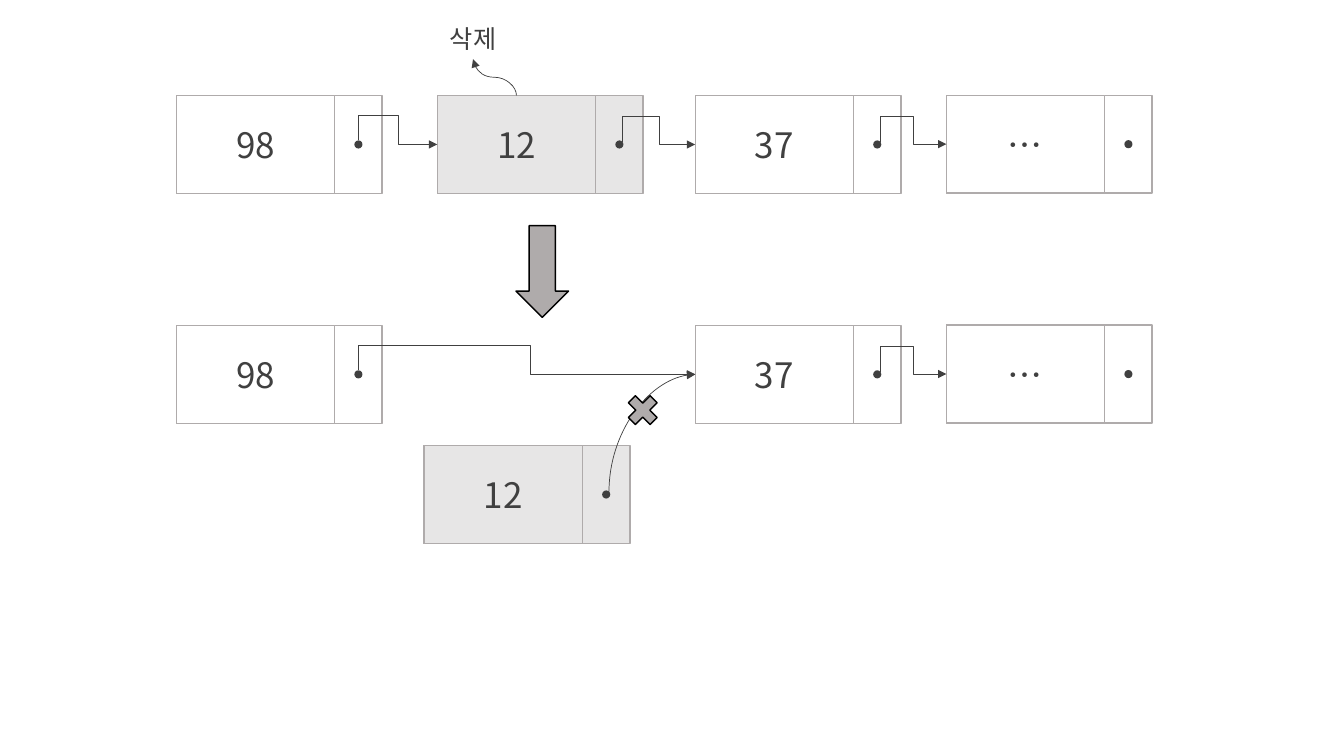
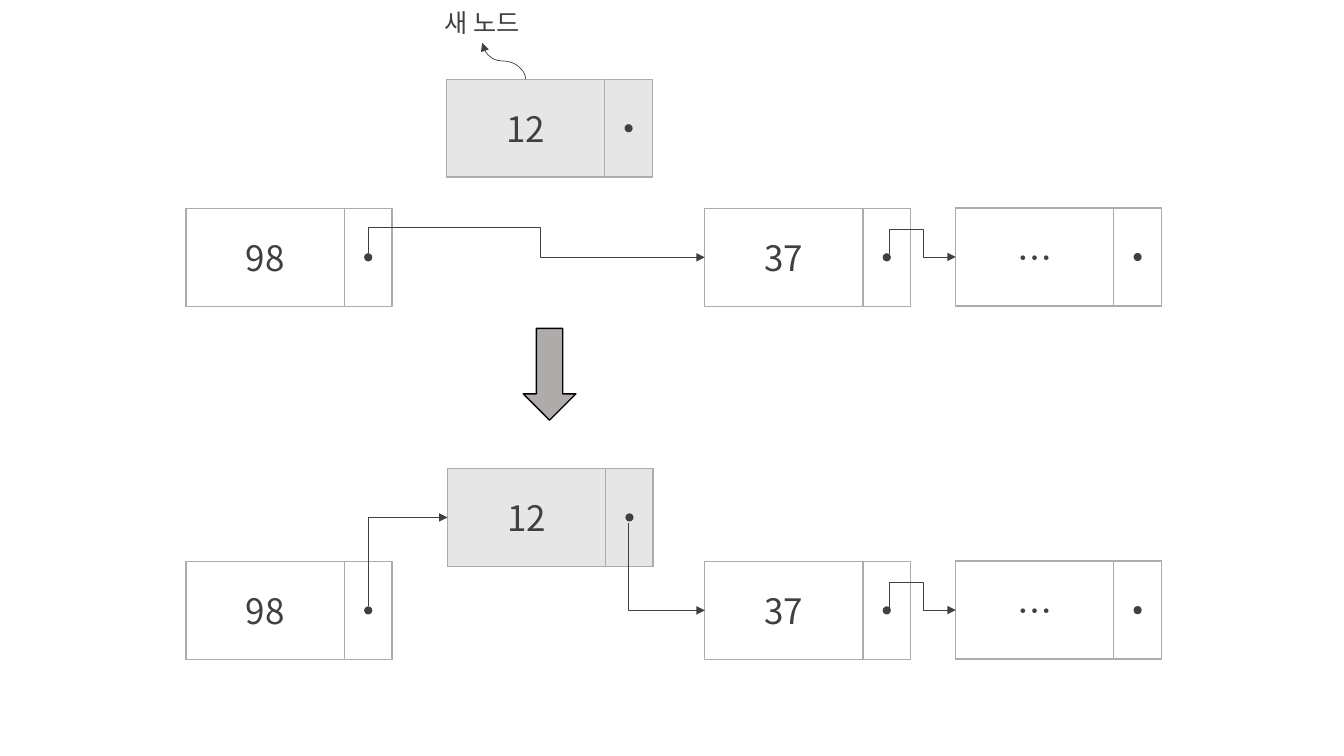
from pptx import Presentation
from pptx.dml.color import RGBColor
from pptx.enum.shapes import MSO_CONNECTOR, MSO_SHAPE
from pptx.enum.text import MSO_ANCHOR, MSO_AUTO_SIZE, PP_ALIGN
from pptx.oxml.ns import qn
from pptx.oxml.xmlchemy import OxmlElement
from pptx.util import Pt

RECT, DOT = MSO_SHAPE.RECTANGLE, MSO_SHAPE.FLOWCHART_CONNECTOR
DOWN_ARROW, CROSS = MSO_SHAPE.DOWN_ARROW, MSO_SHAPE.MATH_MULTIPLY
ELBOW = MSO_CONNECTOR.ELBOW
CENTER, MIDDLE = PP_ALIGN.CENTER, MSO_ANCHOR.MIDDLE
FIT_TEXT = MSO_AUTO_SIZE.SHAPE_TO_FIT_TEXT

FONT = "Noto Sans CJK KR"
INK, WHITE, SHADE, GRAY, BLACK = "404040", "FFFFFF", "E7E6E6", "AFABAB", "000000"

NODE_W, NODE_H, VALUE_W, DOT_SIZE = 147, 70, 113, 5.8
HOP_RISE = 18
ABOVE, CORNER, BELOW = (0, -3), (2, -2), (-1, 4)  # link starts, from the dot centre
TIP_DX, TIP_DY = -31, -26
LABEL_H = 29
ARROW_SIZE, CROSS_SIZE = (37.6, 65.5), (30, 30)

HOP, CURVE, BEND, SWING = ("bentConnector4", "curvedConnector2",
                           "bentConnector2", "curvedConnector3")

# nodes: key -> (value, left, top); links: (kind, source key, target key, start)
DELETION = {
    "nodes": {
        "98 before": ("98", 126, 68.2), "12 before": ("12", 312.4, 68.2),
        "37 before": ("37", 496.6, 68.2), "rest before": ("…", 676, 68),
        "98 after": ("98", 126, 232.4), "12 after": ("12", 303, 318.2),
        "37 after": ("37", 496.6, 232.4), "rest after": ("…", 676, 232.2),
    },
    "links": [
        (HOP, "98 before", "12 before", ABOVE),
        (HOP, "12 before", "37 before", CORNER),
        (HOP, "37 before", "rest before", CORNER),
        (HOP, "98 after", "37 after", ABOVE),
        (HOP, "37 after", "rest after", CORNER),
        (CURVE, "12 after", "37 after", CORNER),
    ],
    "label": ("삭제", 51),
    "arrow": (368.6, 161.2),
    "cross": (444.2, 278),
}
INSERTION = {
    "nodes": {
        "12 before": ("12", 319, 56.6), "98 before": ("98", 133, 148.8),
        "37 before": ("37", 503.4, 148.8), "rest before": ("…", 682.6, 148.6),
        "98 after": ("98", 133, 401), "12 after": ("12", 319.6, 334.6),
        "37 after": ("37", 503.4, 401), "rest after": ("…", 682.6, 400.8),
    },
    "links": [
        (HOP, "98 before", "37 before", ABOVE),
        (HOP, "37 before", "rest before", CORNER),
        (BEND, "98 after", "12 after", ABOVE),
        (BEND, "12 after", "37 after", BELOW),
        (HOP, "37 after", "rest after", CORNER),
    ],
    "label": ("새 노드", 75.6),
    "arrow": (373.8, 234.6),
}


def rgb(color):
    """Turn a hex string into a colour."""
    return RGBColor.from_string(color)


def add_figure(shapes, preset, left, top, width, height, *, fill, line=None):
    """Add a filled preset shape, outlined if a line colour is given."""
    figure = shapes.add_shape(preset, Pt(left), Pt(top), Pt(width), Pt(height))
    figure.shadow.inherit = False
    figure.fill.solid()
    figure.fill.fore_color.rgb = rgb(fill)
    if line:
        figure.line.color.rgb = rgb(line)
        figure.line.width = Pt(1)
    else:
        figure.line.fill.background()
    return figure


def write(holder, text, *, size, color=INK, wrap=True):
    """Put one centred line of text into a shape or text box."""
    frame = holder.text_frame
    frame.word_wrap = wrap
    frame.vertical_anchor = MIDDLE
    paragraph = frame.paragraphs[0]
    paragraph.alignment = CENTER
    run = paragraph.add_run()
    run.text = text
    run.font.size = Pt(size)
    run.font.name = FONT
    run.font.color.rgb = rgb(color)
    east_asian = OxmlElement("a:ea")
    east_asian.set("typeface", FONT)
    run.font._element.append(east_asian)
    return frame


def add_node(slide, value, left, top):
    """Draw a list node: a value cell, a pointer cell and its dot."""
    fill = SHADE if value == "12" else WHITE
    shapes = slide.shapes.add_group_shape().shapes
    add_figure(shapes, RECT, left, top, NODE_W, NODE_H, fill=fill, line=GRAY)
    cell = add_figure(shapes, RECT, left, top, VALUE_W, NODE_H, fill=fill, line=GRAY)
    write(cell, value, size=25)
    dot_x, dot_y = dot_center(left, top)
    add_figure(shapes, DOT, dot_x - DOT_SIZE / 2, dot_y - DOT_SIZE / 2,
               DOT_SIZE, DOT_SIZE, fill=INK)


def dot_center(left, top):
    """Return the middle of a node's pointer cell."""
    return left + (VALUE_W + NODE_W) / 2, top + NODE_H / 2


def add_link(slide, kind, start, end):
    """Draw a thin arrow that leaves its start vertically."""
    dx, dy = end[0] - start[0], end[1] - start[1]
    # The frame is turned a quarter, so its width is the vertical distance.
    width, height = abs(dy), abs(dx)
    left = (start[0] + end[0] - width) / 2
    top = (start[1] + end[1] - height) / 2
    link = slide.shapes.add_connector(ELBOW, Pt(left), Pt(top),
                                      Pt(left + width), Pt(top + height))
    link.line.color.rgb = rgb(INK)
    link.line.width = Pt(0.5)
    properties = link.element.spPr
    frame = properties.find(qn("a:xfrm"))
    frame.set("rot", str(270 * 60000))
    frame.set("flipH", str(int(dy > 0)))
    frame.set("flipV", str(int(dx < 0)))
    geometry = properties.find(qn("a:prstGeom"))
    geometry.set("prst", kind)
    if kind == HOP:
        bends = geometry.find(qn("a:avLst"))
        if bends is None:
            bends = OxmlElement("a:avLst")
            geometry.append(bends)
        for name, share in (("adj1", -HOP_RISE / dy), ("adj2", 0.51)):
            guide = OxmlElement("a:gd")
            guide.set("name", name)
            guide.set("fmla", f"val {round(share * 100000)}")
            bends.append(guide)
    head = OxmlElement("a:tailEnd")
    head.set("type", "triangle")
    properties.find(qn("a:ln")).append(head)
    properties.append(OxmlElement("a:effectLst"))


def add_label(slide, text, width, node):
    """Name a node with a curved arrow and a text above its tip."""
    _, left, top = node
    start = (left + VALUE_W / 2, top)
    tip = (start[0] + TIP_DX, start[1] + TIP_DY)
    add_link(slide, SWING, start, tip)
    box = slide.shapes.add_textbox(Pt(tip[0] - width / 2), Pt(tip[1] - LABEL_H),
                                   Pt(width), Pt(LABEL_H))
    write(box, text, size=18, wrap=False).auto_size = FIT_TEXT


def build_slide(deck, scene):
    """Draw one before-and-after list operation."""
    slide = deck.slides.add_slide(deck.slide_layouts[6])
    nodes = scene["nodes"]
    for node in nodes.values():
        add_node(slide, *node)
    for kind, source, target, offset in scene["links"]:
        dot_x, dot_y = dot_center(*nodes[source][1:])
        _, left, top = nodes[target]
        add_link(slide, kind, (dot_x + offset[0], dot_y + offset[1]),
                 (left, top + NODE_H / 2))
    add_label(slide, *scene["label"], nodes["12 before"])
    for sign, preset, size in (("arrow", DOWN_ARROW, ARROW_SIZE),
                               ("cross", CROSS, CROSS_SIZE)):
        if sign in scene:
            add_figure(slide.shapes, preset, *scene[sign], *size, fill=GRAY, line=BLACK)


deck = Presentation()
deck.slide_width, deck.slide_height = Pt(960), Pt(540)
for scene in (DELETION, INSERTION):
    build_slide(deck, scene)
deck.save("out.pptx")
